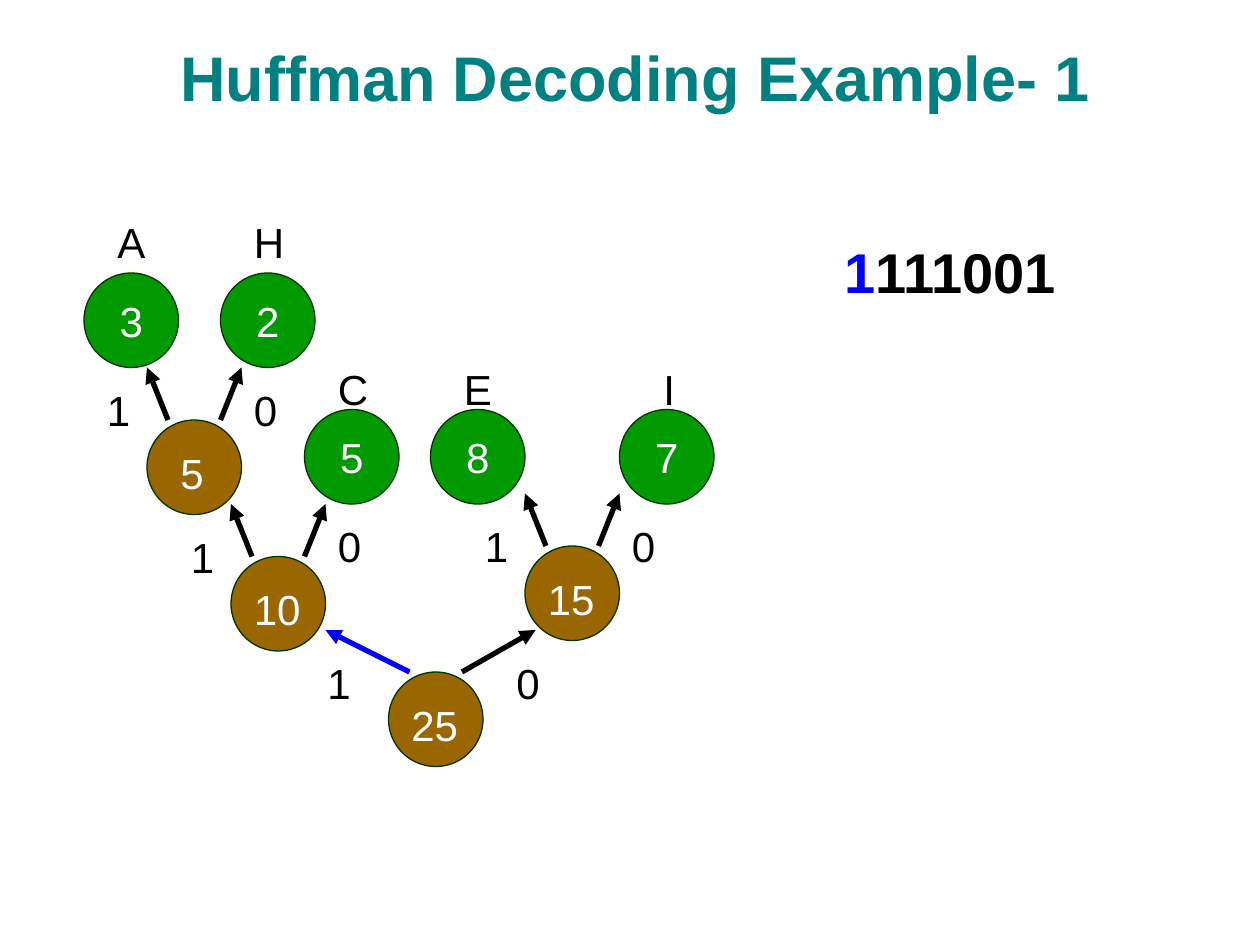
from lxml import etree
from pptx import Presentation
from pptx.dml.color import RGBColor
from pptx.enum import shapes, text
from pptx.oxml import ns
from pptx.util import Pt

COLORS = {"title": "008080", "leaf": "009900", "branch": "996600", "rim": "003300",
          "white": "FFFFFF", "black": "000000", "active": "0000FF"}
NODE = 54
LABEL = {"size": 24, "bold": False}
TITLE = {"size": 36, "bold": True}
CODE = {"size": 32, "bold": True}
CENTER = {"alignment": text.PP_ALIGN.CENTER}
FIXED = {"word_wrap": True, "vertical_anchor": text.MSO_ANCHOR.BOTTOM}
NODE_FRAME = {"word_wrap": False, "vertical_anchor": text.MSO_ANCHOR.MIDDLE}
GROWING = {"auto_size": text.MSO_AUTO_SIZE.SHAPE_TO_FIT_TEXT}

LEAVES = [("A", "3", 0, 36, 12, 36, 30), ("H", "2", 78, 36, 12, 36, 32),
          ("C", "5", 126, 114, 12, 30, 32), ("E", "8", 198, 114, 12, 30, 30),
          ("I", "7", 306, 114, 18, 30, 21)]
BRANCHES = [
    ("5", 36, 120, [(-12, -30, -30, -24, "black"), (12, -30, 54, -24, "black")]),
    ("10", 84, 198, [(-12, -30, -30, -18, "black"), (12, -30, 54, -24, "black")]),
    ("15", 252, 192, [(-12, -30, -30, -18, "black"), (12, -30, 54, -18, "black")]),
    ("25", 174, 264, [(-48, -24, -42, -12, "active"), (42, -24, 66, -12, "black")]),
]


def rgb(name):
    return RGBColor.from_string(COLORS[name])


def apply(target, values):
    for name, value in values.items():
        setattr(target, name, value)


def write(tf, runs, font, frame, para):
    apply(tf, frame)
    p = tf.paragraphs[0]
    apply(p, para)
    for words, color in runs:
        r = p.add_run()
        r.text = words
        apply(r.font, {"name": "Arial", **font, "size": Pt(font["size"])})
        r.font.color.rgb = rgb(color)


def add_text(s, box, runs, font, frame, para):
    sp = s.shapes.add_textbox(*map(Pt, box))
    write(sp.text_frame, runs, font, frame, para)


def add_label(s, x, y, width, words, color="black"):
    add_text(s, (x, y, width, 36), [(words, color)], LABEL,
             {"word_wrap": False, **GROWING}, {})


def add_node(s, x, y, fill):
    sp = s.shapes.add_shape(shapes.MSO_SHAPE.OVAL, Pt(x), Pt(y), Pt(NODE), Pt(NODE))
    sp.shadow.inherit = False
    sp.fill.solid()
    sp.fill.fore_color.rgb = rgb(fill)
    sp.line.color.rgb = rgb("rim")
    sp.line.width = Pt(0.75)
    return sp


def add_arrow(s, x, y, dx, dy, color):
    line = s.shapes.add_connector(shapes.MSO_CONNECTOR.STRAIGHT,
                                  Pt(x), Pt(y), Pt(x + dx), Pt(y + dy))
    line.line.color.rgb = rgb(color)
    line.line.width = Pt(3)
    etree.SubElement(line.line._get_or_add_ln(), ns.qn("a:tailEnd"), type="triangle")
    etree.SubElement(line._element.spPr, ns.qn("a:effectLst"))


def add_title(s, box):
    add_text(s, box, [("Huffman Decoding Example- 1", "title")], TITLE, FIXED, CENTER)


def add_tree(s, left, top):
    for letter, weight, dx, dy, inset, rise, width in LEAVES:
        x, y = left + dx, top + dy
        sp = add_node(s, x, y, "leaf")
        write(sp.text_frame, [(weight, "white")], LABEL, NODE_FRAME, CENTER)
        add_label(s, x + inset, y - rise, width, letter)
    for weight, dx, dy, edges in BRANCHES:
        x, y = left + dx, top + dy
        add_node(s, x, y, "branch")
        inset, width = (12, 27) if len(weight) == 1 else (6, 41)
        add_label(s, x + inset, y + 12, width, weight, "white")
        for bit, start, edge in zip("10", (12, 42), edges):
            run, rise, bit_x, bit_y, color = edge
            add_arrow(s, x + start, y, run, rise, color)
            add_label(s, x + bit_x, y + bit_y, 27, bit)


def add_code(s, box):
    add_text(s, box, [("1", "active"), ("111001", "black")], CODE,
             {"word_wrap": True, **GROWING}, {**CENTER, "space_before": Pt(20)})


def main():
    prs = Presentation()
    prs.slide_width, prs.slide_height = Pt(720), Pt(540)
    s = prs.slides.add_slide(prs.slide_layouts[6])
    add_title(s, (24, 12, 678, 57))
    add_tree(s, 48, 120)
    add_code(s, (408, 132, 270, 46))
    prs.save("out.pptx")


if __name__ == "__main__":
    main()
